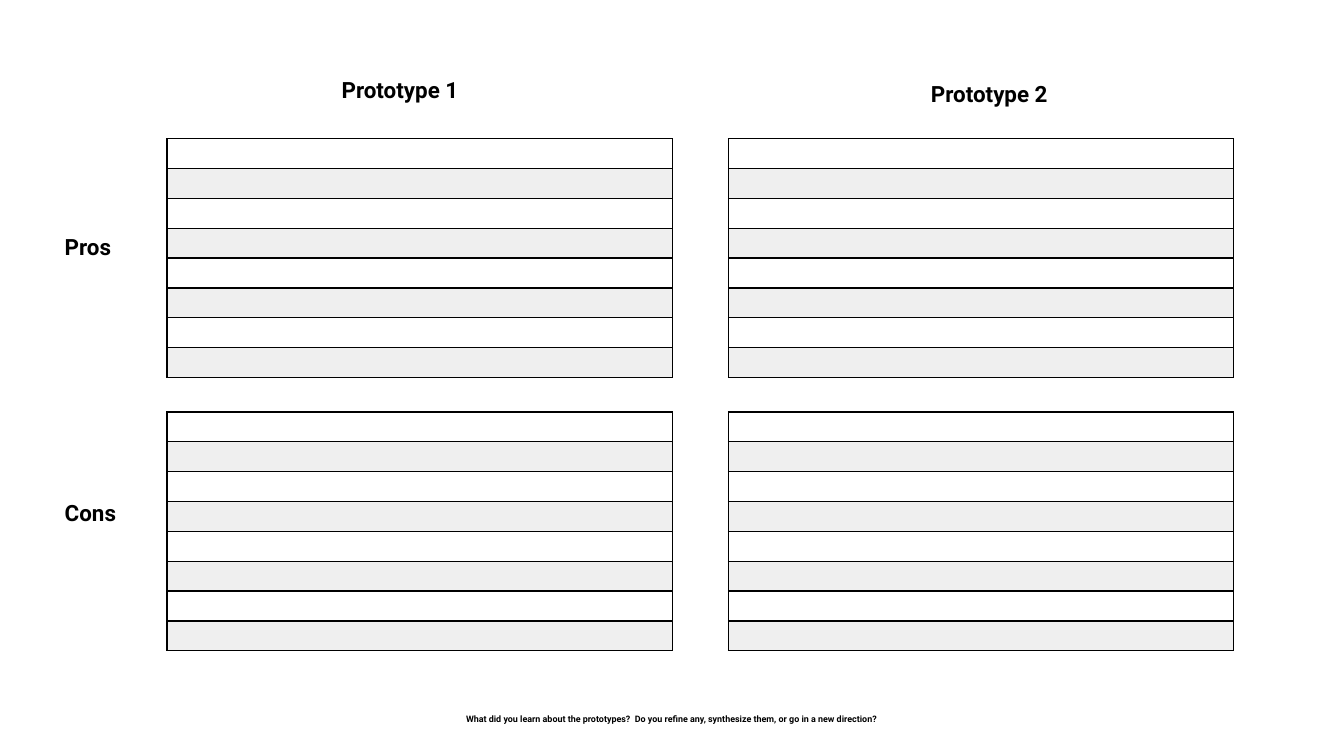
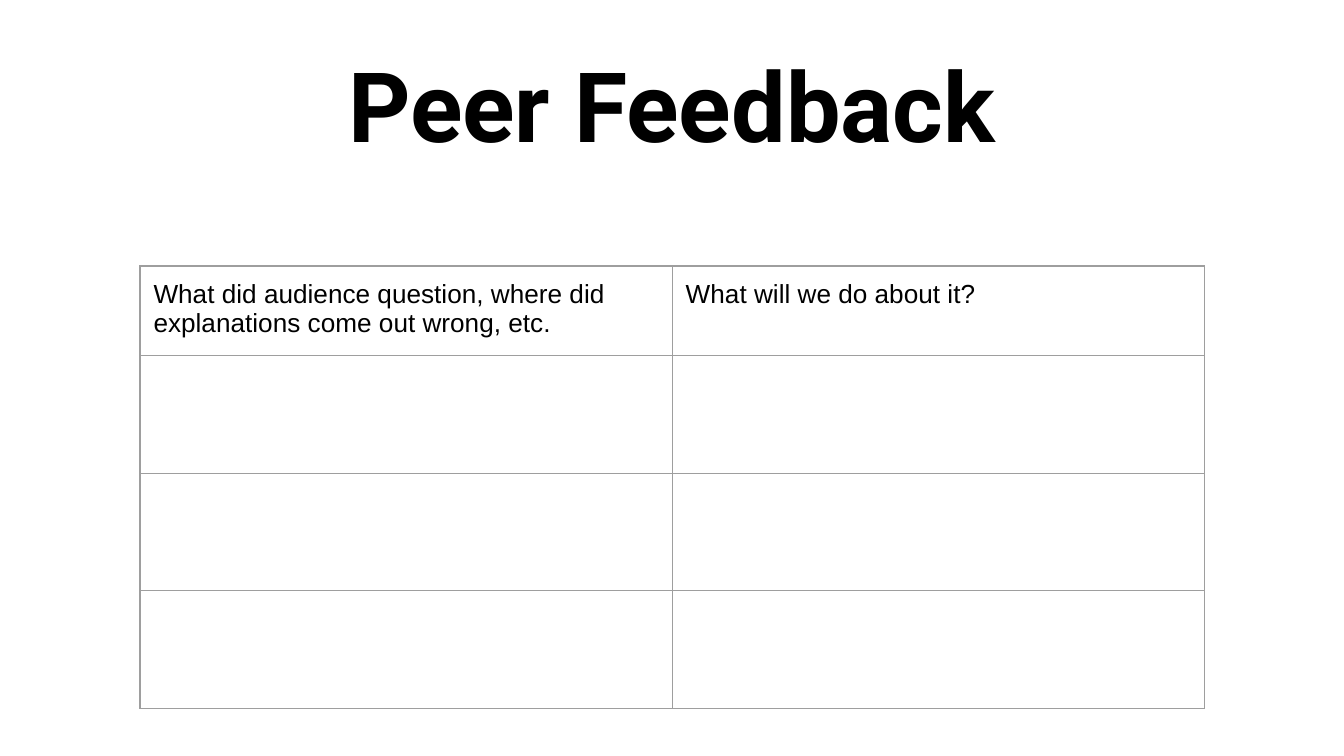
from dataclasses import dataclass
from lxml import etree
from pptx import Presentation
from pptx.dml.color import RGBColor
from pptx.enum.text import MSO_ANCHOR, MSO_AUTO_SIZE, PP_ALIGN
from pptx.oxml.ns import qn
from pptx.util import Inches, Pt

LEFT, CENTER = PP_ALIGN.LEFT, PP_ALIGN.CENTER
TOP, MIDDLE = MSO_ANCHOR.TOP, MSO_ANCHOR.MIDDLE
GROW, FIXED = MSO_AUTO_SIZE.SHAPE_TO_FIT_TEXT, MSO_AUTO_SIZE.NONE
WIDE = Inches(10)
HIGH = WIDE * 9 // 16


@dataclass(frozen=True)
class Theme:
    head: str = "Roboto"
    body: str = "Arial"
    ink: str = "000000"
    paper: str = "FFFFFF"
    band: str = "EFEFEF"
    rule: str = "9E9E9E"
    title: float = 52
    cell: float = 14
    label: float = 12
    note: float = 4.8
    line: float = 0.75


THEME = Theme()


def across(share):
    return round(WIDE * share / 100)


def down(share):
    return round(HIGH * share / 100)


def place(x, y, w, h):
    return across(x), down(y), across(w), down(h)


def style(para, text, size, face, bold=False, align=LEFT):
    para.text = text
    para.alignment = align
    font = para.font
    font.name, font.size, font.bold = face, Pt(size), bold
    font.color.rgb = RGBColor.from_string(THEME.ink)


def add_text(slide, box, text, size, align=CENTER, anchor=MIDDLE,
             fit=FIXED, inset=0.04):
    frame = slide.shapes.add_textbox(*place(*box)).text_frame
    frame.word_wrap = True
    frame.auto_size = fit
    frame.vertical_anchor = anchor
    frame.margin_left = frame.margin_right = Inches(inset)
    frame.margin_top = frame.margin_bottom = Inches(inset)
    style(frame.paragraphs[0], text, size, THEME.head, True, align)


def add_label(slide, x, y, text):
    add_text(slide, (x, y, 12.6, 5.15), text, THEME.label, LEFT, TOP, GROW, 0.05)


def edge(cell, color):
    props = cell._tc.get_or_add_tcPr()
    for side in ("a:lnL", "a:lnR", "a:lnT", "a:lnB"):
        line = etree.SubElement(props, qn(side), w=str(Pt(THEME.line)))
        fill = etree.SubElement(line, qn("a:solidFill"))
        etree.SubElement(fill, qn("a:srgbClr"), val=color)


def add_grid(slide, x, y, w, rows, cols, color, inset):
    shape = slide.shapes.add_table(len(rows), cols, *place(x, y, w, sum(rows)))
    table = shape.table
    table.first_row = table.horz_banding = False
    for row, share in zip(table.rows, rows):
        row.height = down(share)
    for cell in table.iter_cells():
        cell.margin_left = cell.margin_right = Inches(inset)
        cell.margin_top = cell.margin_bottom = Inches(inset)
        edge(cell, color)
        cell.fill.background()
    return table


def add_lines(slide, x, y):
    table = add_grid(slide, x, y, 37.6, [3.95] * 8, 1, THEME.ink, 0.02)
    for i, cell in enumerate(table.iter_cells()):
        cell.fill.solid()
        shade = THEME.band if i % 2 else THEME.paper
        cell.fill.fore_color.rgb = RGBColor.from_string(shade)
        para = cell.text_frame.paragraphs[0]
        size = str(Pt(THEME.note).centipoints)
        etree.SubElement(para._p, qn("a:endParaRPr"), sz=size)


def new_slide(deck):
    slide = deck.slides.add_slide(deck.slide_layouts[6])
    fill = slide.background.fill
    fill.solid()
    fill.fore_color.rgb = RGBColor.from_string(THEME.paper)
    return slide


def compare(deck):
    slide = new_slide(deck)
    add_label(slide, 24.92, 9.25, "Prototype 1")
    add_label(slide, 68.77, 9.78, "Prototype 2")
    add_label(slide, 4.32, 30, "Pros")
    add_label(slide, 4.32, 65.1, "Cons")
    add_text(slide, (7, 92.8, 86, 4.6),
             "What did you learn about the prototypes?  Do you refine any, "
             "synthesize them, or go in a new direction?", THEME.note)
    for x in (12.43, 54.2):
        for y in (18.35, 54.5):
            add_lines(slide, x, y)


def feedback(deck):
    slide = new_slide(deck)
    add_text(slide, (7.34, 2.67, 85.3, 22.2), "Peer Feedback", THEME.title)
    table = add_grid(slide, 10.42, 35.2, 79.2, [11.85] + [15.55] * 3, 2,
                     THEME.rule, 0.1)
    heads = ("What did audience question, where did explanations come out "
             "wrong, etc.", "What will we do about it?")
    for col, text in enumerate(heads):
        para = table.cell(0, col).text_frame.paragraphs[0]
        style(para, text, THEME.cell, THEME.body)


def main():
    deck = Presentation()
    deck.slide_width, deck.slide_height = WIDE, HIGH
    compare(deck)
    feedback(deck)
    deck.save("out.pptx")


if __name__ == "__main__":
    main()
